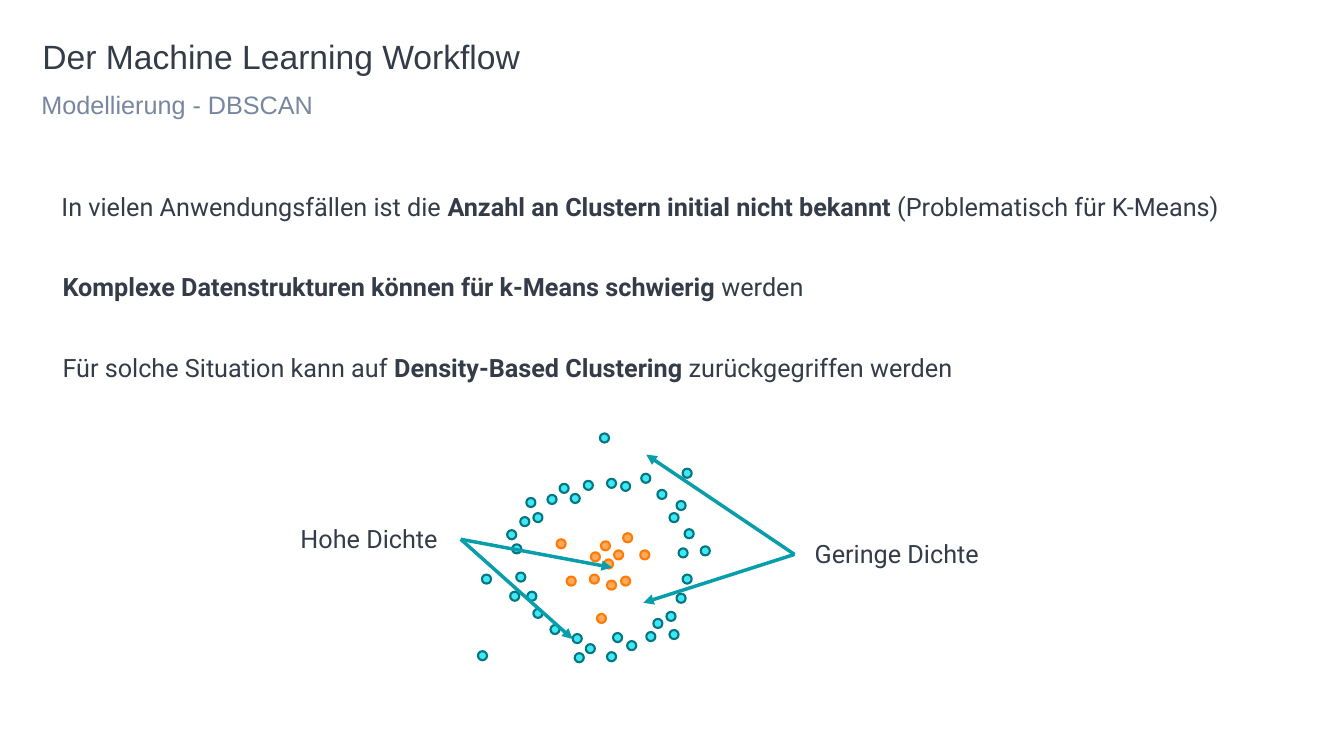
from typing import NamedTuple

from lxml.etree import SubElement
from pptx import Presentation
from pptx.dml.color import RGBColor
from pptx.enum.shapes import MSO_CONNECTOR as Link, MSO_SHAPE as Form
from pptx.enum.text import MSO_AUTO_SIZE as Fit
from pptx.oxml.ns import qn
from pptx.util import Pt

SCALE = 9144  # EMU per px, 100 px to the inch
DOT = 9

INK = RGBColor(0x34, 0x3C, 0x49)
SLATE = RGBColor(0x78, 0x87, 0x9F)
CYAN = RGBColor(0x3F, 0xE8, 0xF7)
PETROL = RGBColor(0x05, 0x76, 0x7F)
PEACH = RGBColor(0xFF, 0xA9, 0x5D)
ORANGE = RGBColor(0xFF, 0x7B, 0x06)
TEAL = RGBColor(0x07, 0x9D, 0xAA)


class Run(NamedTuple):
    text: str
    bold: bool = False


class Label(NamedTuple):
    box: tuple[int, int, int, int]
    runs: list[Run]
    font: str = "Roboto"
    size: int = 18
    color: RGBColor = INK
    inset: tuple[int, int, int, int] = (20, 20, 20, 20)
    spacing: float = 1.1
    after: int = 0
    wrap: bool = False


class Cluster(NamedTuple):
    fill: RGBColor
    line: RGBColor
    dots: list[tuple[int, int]]


class Arrow(NamedTuple):
    start: tuple[int, int]
    end: tuple[int, int]


LABELS = [
    Label((42, 40, 1252, 41), [Run("Der Machine Learning Workflow")],
          font="Arial", size=24, inset=(0, 0, 10, 5), spacing=0.9, wrap=True),
    Label((41, 81, 1252, 49), [Run("Modellierung - DBSCAN")],
          font="Arial", color=SLATE, inset=(0, 5, 10, 5), after=6, wrap=True),
    Label((41, 170, 1226, 70), [
        Run("In vielen Anwendungsfällen ist die "),
        Run("Anzahl an Clustern initial nicht bekannt ", True),
        Run("(Problematisch für K-Means)")]),
    Label((42, 250, 821, 70), [
        Run("Komplexe Datenstrukturen können für k-Means schwierig ", True),
        Run("werden")]),
    Label((42, 330, 949, 70), [
        Run("Für solche Situation kann auf "),
        Run("Density-Based Clustering", True),
        Run(" zurückgegriffen werden")]),
    Label((278, 500, 179, 70), [Run("Hohe Dichte")]),
    Label((788, 515, 208, 70), [Run("Geringe Dichte")]),
]

CLUSTERS = [
    Cluster(CYAN, PETROL, [
        (671, 497), (677, 465), (664, 509), (679, 525), (695, 542),
        (673, 544), (677, 570), (661, 607), (671, 589), (648, 614),
        (664, 625), (641, 627), (636, 470), (652, 486), (616, 478),
        (595, 430), (602, 475), (579, 477), (522, 494), (529, 509),
        (516, 513), (503, 526), (508, 540), (478, 570), (555, 480),
        (566, 490), (543, 491), (512, 568), (523, 587), (506, 587),
        (529, 604), (546, 620), (581, 639), (568, 629), (570, 648),
        (474, 646), (608, 628), (622, 636), (602, 647)]),
    Cluster(PEACH, ORANGE, [
        (596, 537), (609, 546), (586, 548), (599, 555), (616, 572),
        (602, 576), (552, 535), (585, 570), (562, 572), (618, 529),
        (635, 546), (592, 609)]),
]

LOW, HIGH = (788, 550), (457, 535)
ARROWS = [
    Arrow(LOW, (638, 598)), Arrow(LOW, (641, 451)),
    Arrow(HIGH, (607, 563)), Arrow(HIGH, (568, 634)),
]


def emu(*px: int) -> list[int]:
    return [n * SCALE for n in px]


def add_label(shapes, label: Label) -> None:
    frame = shapes.add_textbox(*emu(*label.box)).text_frame
    frame.word_wrap = label.wrap
    frame.auto_size = Fit.NONE if label.wrap else Fit.SHAPE_TO_FIT_TEXT
    (frame.margin_left, frame.margin_top,
     frame.margin_right, frame.margin_bottom) = emu(*label.inset)
    para = frame.paragraphs[0]
    para.line_spacing = label.spacing
    para.space_after = Pt(label.after)
    for part in label.runs:
        run = para.add_run()
        run.text = part.text
        run.font.name = label.font
        run.font.size = Pt(label.size)
        run.font.bold = part.bold
        run.font.color.rgb = label.color


def add_dots(shapes, cluster: Cluster) -> None:
    for left, top in cluster.dots:
        dot = shapes.add_shape(Form.OVAL, *emu(left, top, DOT, DOT))
        dot.shadow.inherit = False
        dot.fill.solid()
        dot.fill.fore_color.rgb = cluster.fill
        dot.line.color.rgb = cluster.line
        dot.line.width = Pt(1.5)


def add_arrow(shapes, arrow: Arrow) -> None:
    link = shapes.add_connector(Link.STRAIGHT, *emu(*arrow.start, *arrow.end))
    link.line.color.rgb = TEAL
    link.line.width = Pt(2.5)
    SubElement(link.line._get_or_add_ln(), qn("a:tailEnd"), type="triangle")
    SubElement(link._element.spPr, qn("a:effectLst"))


def main() -> None:
    deck = Presentation()
    deck.slide_width, deck.slide_height = emu(1333, 750)
    shapes = deck.slides.add_slide(deck.slide_layouts[6]).shapes
    for label in LABELS:
        add_label(shapes, label)
    for cluster in CLUSTERS:
        add_dots(shapes, cluster)
    for arrow in ARROWS:
        add_arrow(shapes, arrow)
    deck.save("out.pptx")


if __name__ == "__main__":
    main()
